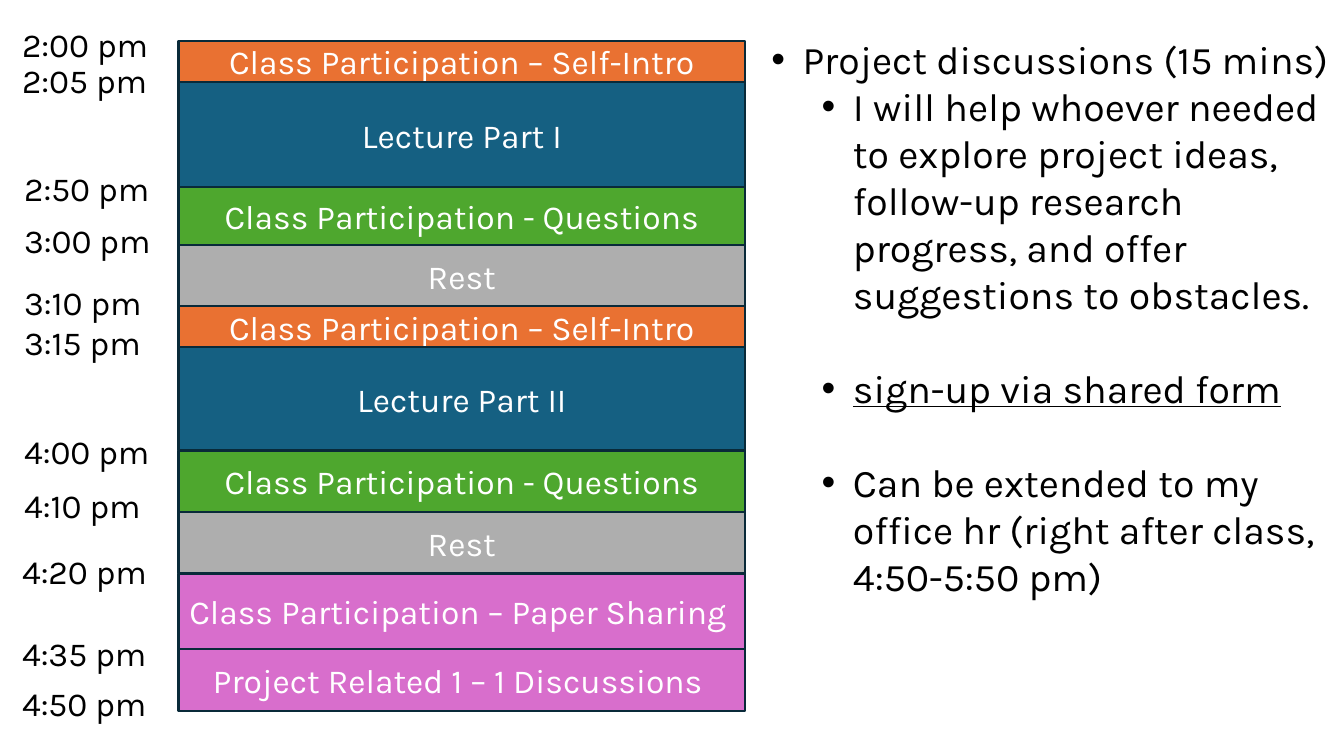
from dataclasses import dataclass
from itertools import accumulate

from lxml.etree import SubElement
from pptx import Presentation
from pptx.dml.color import RGBColor as RGB
from pptx.enum.shapes import MSO_SHAPE as Shape
from pptx.enum.text import MSO_ANCHOR as Anchor, MSO_AUTO_SIZE as Fit, PP_ALIGN as Align
from pptx.oxml.ns import qn
from pptx.util import Inches, Pt


@dataclass(frozen=True)
class Theme:
    face: str = "Karla"
    small: float = 24
    large: float = 28
    rule: float = 1.5
    gap: float = 33.5
    ink: str = "000000"
    pale: str = "FFFFFF"
    edge: str = "092A39"
    intro: str = "E97132"
    talk: str = "156082"
    quiz: str = "4EA72E"
    rest: str = "AEAEAE"
    share: str = "D86ECC"


THEME = Theme()

# Fill, label, height
BLOCKS = [
    (THEME.intro, "Class Participation – Self-Intro", 0.4),
    (THEME.talk, "Lecture Part I", 1.05),
    (THEME.quiz, "Class Participation - Questions", 0.57),
    (THEME.rest, "Rest", 0.61),
    (THEME.intro, "Class Participation – Self-Intro", 0.4),
    (THEME.talk, "Lecture Part II", 1.03),
    (THEME.quiz, "Class Participation - Questions", 0.61),
    (THEME.rest, "Rest", 0.61),
    (THEME.share, "Class Participation – Paper Sharing ", 0.75),
    (THEME.share, "Project Related 1 – 1 Discussions ", 0.61),
]

# Label, left and top within the column
TIMES = [
    ("2:00 pm", 0, 0), ("2:05 pm", 0, 0.36), ("2:50 pm", 0.02, 1.43),
    ("3:00 pm", 0.02, 1.94), ("3:10 pm", 0.02, 2.56), ("3:15 pm", 0.02, 2.95),
    ("4:00 pm", 0.02, 4.04), ("4:10 pm", 0.02, 4.57), ("4:20 pm", 0, 5.23),
    ("4:35 pm", 0, 6.04), ("4:50 pm", 0, 6.54),
]

# Level, text, run format, space before
NOTES = [
    (1, "Project discussions (15 mins)", {}, 0),
    (2, "I will help whoever needed to explore project ideas, follow-up research "
        "progress, and offer suggestions to obstacles.", {}, 0),
    (2, "sign-up via shared form", {"underline": True}, THEME.gap),
    (2, "Can be extended to my office hr (right after class, 4:50-5:50 pm)",
     {}, THEME.gap),
]


def apply(item, style):
    for name, value in style.items():
        setattr(item, name, value)


def write(para, text, size, color, **extra):
    run = para.add_run()
    run.text = text
    apply(run.font, {"name": THEME.face, "size": Pt(size), **extra})
    run.font.color.rgb = RGB.from_string(color)


def add_times(slide, left, top, width):
    for label, dx, dy in TIMES:
        box = slide.shapes.add_textbox(
            Inches(left + dx), Inches(top + dy), Inches(width), Inches(0.5))
        apply(box.text_frame, {"word_wrap": True, "auto_size": Fit.SHAPE_TO_FIT_TEXT})
        write(box.text_frame.paragraphs[0], label, THEME.small, THEME.ink)


def add_blocks(slide, left, top, width):
    """Stack the class blocks downwards without gaps."""
    tops = accumulate((high for *_, high in BLOCKS), initial=top)
    for y, (fill, label, high) in zip(tops, BLOCKS):
        block = slide.shapes.add_shape(
            Shape.RECTANGLE, Inches(left), Inches(y), Inches(width), Inches(high))
        block.shadow.inherit = False
        block.fill.solid()
        block.fill.fore_color.rgb = RGB.from_string(fill)
        block.line.color.rgb = RGB.from_string(THEME.edge)
        block.line.width = Pt(THEME.rule)
        apply(block.text_frame, {"word_wrap": True, "vertical_anchor": Anchor.MIDDLE})
        para = block.text_frame.paragraphs[0]
        para.alignment = Align.CENTER
        write(para, label, THEME.small, THEME.pale)


def add_bullet(para, level):
    props = para._p.get_or_add_pPr()
    props.set("marL", str(Inches(0.31 + 0.5 * level)))
    props.set("indent", str(Inches(-0.31)))
    SubElement(props, qn("a:buFont")).set("typeface", "Arial")
    SubElement(props, qn("a:buChar")).set("char", "•")


def add_notes(slide, left, top, width, height):
    body = slide.placeholders[1]
    apply(body, {"left": Inches(left), "top": Inches(top),
                 "width": Inches(width), "height": Inches(height)})
    frame = body.text_frame
    apply(frame, {"word_wrap": True, "auto_size": Fit.NONE,
                  "vertical_anchor": Anchor.TOP})
    for i, (level, text, extra, gap) in enumerate(NOTES):
        para = frame.add_paragraph() if i else frame.paragraphs[0]
        apply(para, {"level": level, "alignment": Align.LEFT, "line_spacing": 1.0,
                     "space_before": Pt(gap), "space_after": Pt(0)})
        add_bullet(para, level)
        write(para, text, THEME.large, THEME.ink, **extra)


def main():
    deck = Presentation()
    apply(deck, {"slide_width": Inches(13.33), "slide_height": Inches(7.5)})
    slide = deck.slides.add_slide(deck.slide_layouts[1])
    title = slide.shapes.title.element
    title.getparent().remove(title)
    add_blocks(slide, 1.77, 0.41, 5.62)
    add_times(slide, 0.12, 0.19, 1.88)
    add_notes(slide, 7.05, 0.3, 6.28, 6.53)
    deck.save("out.pptx")


if __name__ == "__main__":
    main()
